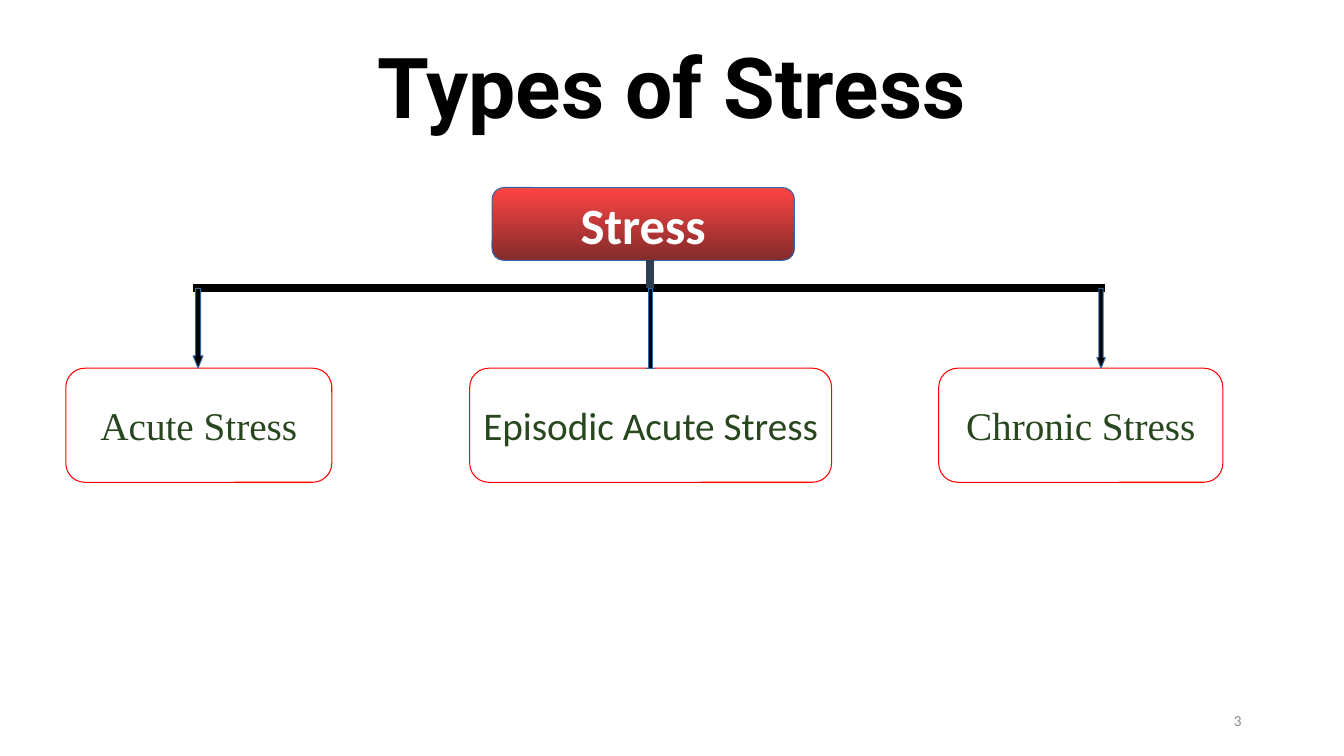
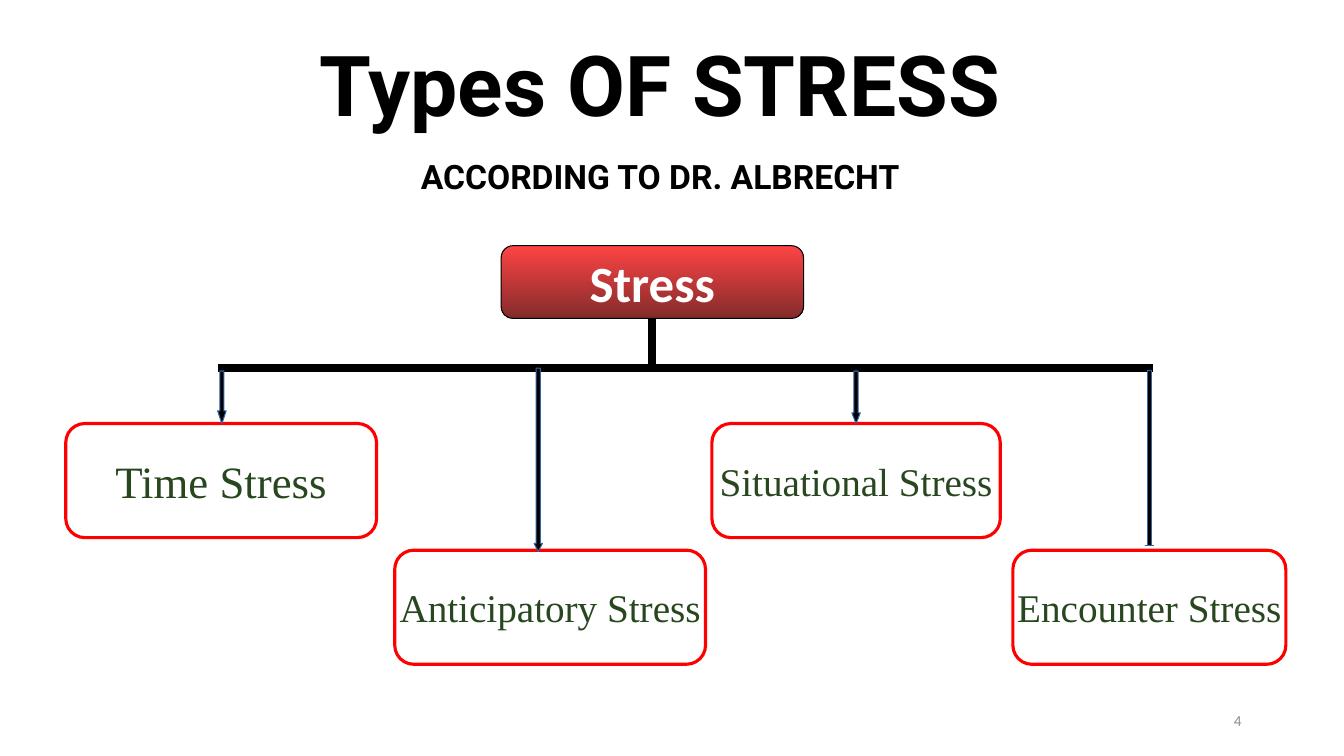
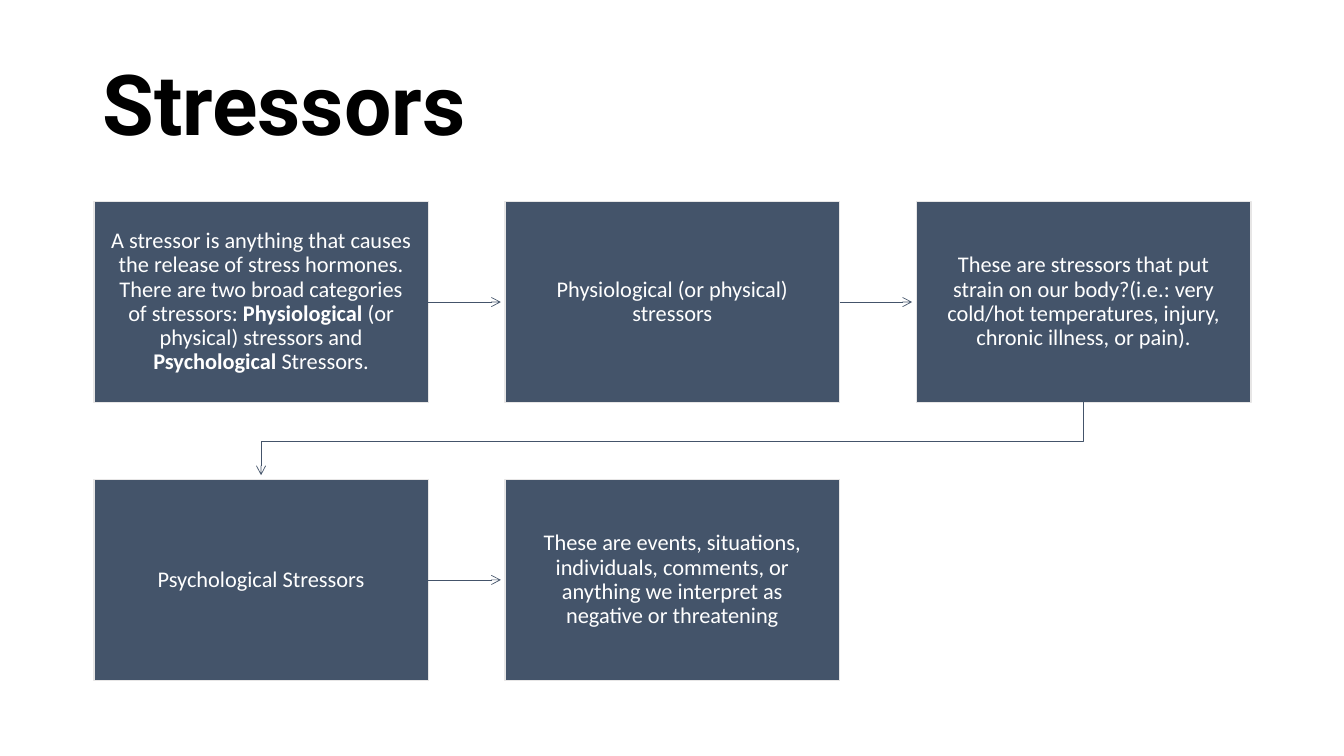
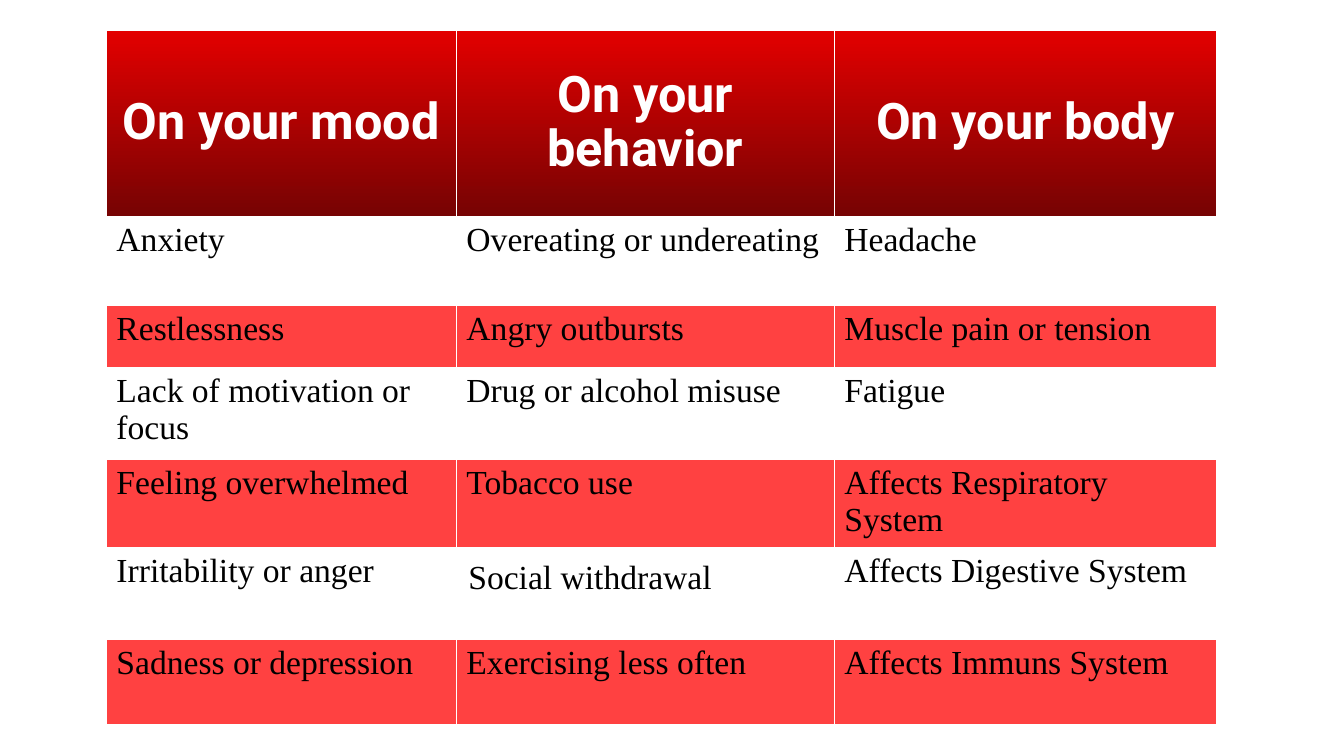
"""Builds four slides on the types, sources and effects of stress."""
from lxml import etree
from pptx import Presentation
from pptx.dml.color import RGBColor
from pptx.enum.shapes import MSO_CONNECTOR, MSO_SHAPE
from pptx.enum.text import MSO_ANCHOR, MSO_AUTO_SIZE, PP_ALIGN
from pptx.oxml.ns import qn
from pptx.util import Pt

LEFT, CENTER, RIGHT = PP_ALIGN.LEFT, PP_ALIGN.CENTER, PP_ALIGN.RIGHT
MIDDLE, TOP = MSO_ANCHOR.MIDDLE, MSO_ANCHOR.TOP
NO_FIT = MSO_AUTO_SIZE.NONE
ROUNDED, RECT, ARROW = MSO_SHAPE.ROUNDED_RECTANGLE, MSO_SHAPE.RECTANGLE, MSO_SHAPE.DOWN_ARROW
STRAIGHT = MSO_CONNECTOR.STRAIGHT
HEAD, BODY, SERIF = "Roboto", "Calibri", "Times New Roman"
HEX = {
    "black": "000000", "white": "FFFFFF", "grey": "8C8C8C", "green": "28471F",
    "red": "FF0000", "root_top": "FE4444", "root_end": "832B2B",
    "blue": "3465A4", "stem": "2C3E50", "slate": "44546A", "pale": "E7E6E6",
    "head_top": "E30000", "head_end": "760303", "band": "FF4141",
}
COLORS = {name: RGBColor.from_string(value) for name, value in HEX.items()}


def write(tf, text, size, font, color, align=CENTER, bold=False, spacing=1.0):
    """Fill a text frame; newlines split paragraphs and asterisks enclose bold words."""
    for i, line in enumerate(text.split("\n")):
        p = tf.paragraphs[0] if i == 0 else tf.add_paragraph()
        p.alignment, p.line_spacing = align, spacing
        p.font.size, p.font.name = Pt(size), font
        p.font.color.rgb, p.font.bold = COLORS[color], bold
        for j, part in enumerate(line.split("*")):
            r = p.add_run()
            r.text = part
            if j % 2:
                r.font.bold = True


def connect(s, x1, y1, x2, y2, color, width):
    """Draw a straight line without a shadow."""
    line = s.shapes.add_connector(STRAIGHT, Pt(x1), Pt(y1), Pt(x2), Pt(y2))
    line.line.color.rgb, line.line.width = COLORS[color], Pt(width)
    etree.SubElement(line._element.spPr, qn("a:effectLst"))
    return line


prs = Presentation()
prs.slide_width, prs.slide_height = Pt(960), Pt(540)
title_only, blank = prs.slide_layouts[5], prs.slide_layouts[6]

titles = [
    ("Types of Stress", (145.5, 21.5, 669, 87), CENTER, (0, 0, 0, 0)),
    ("Types OF STRESS\nACCORDING TO DR. ALBRECHT", (77, 18, 789, 136), CENTER, (0, 0, 0, 0)),
    ("Stressors", (66, 29, 828, 104.5), LEFT, (7.2, 3.6, 7.2, 12)),
]
slides = []
for text, box, align, margins in titles:
    s = prs.slides.add_slide(title_only)
    title = s.shapes.title
    title.left, title.top, title.width, title.height = map(Pt, box)
    tf = title.text_frame
    tf.auto_size, tf.vertical_anchor, tf.word_wrap = NO_FIT, MIDDLE, True
    tf.margin_left, tf.margin_top, tf.margin_right, tf.margin_bottom = map(Pt, margins)
    write(tf, text, 60, HEAD, "black", align, True, 0.9)
    slides.append(s)
subtitle = slides[1].shapes.title.text_frame.paragraphs[1]
subtitle.font.size, subtitle.space_before = Pt(24), Pt(19)

trees = [
    {"number": "3", "root": (351.5, 134), "root_line": "blue", "bar": (138, 789, 206),
     "stem": (464.5, "stem"), "outline": 0.75,
     "boxes": [("Acute Stress", 47, 263, 190, 28, SERIF),
               ("Episodic Acute Stress", 335.5, 263, 258.5, 28, BODY),
               ("Chronic Stress", 670.5, 263, 203, 28, SERIF)],
     "arrows": [(138, 206, 7, 57, 1.26), (461.5, 206, 6, 57.5, 0),
                (783.5, 206, 6, 57, 1.26)]},
    {"number": "4", "root": (358, 175.5), "root_line": "black", "bar": (155.5, 823.5, 263),
     "stem": (466, "black"), "outline": 2.25,
     "boxes": [("Time Stress", 47, 302.5, 222, 32, SERIF),
               ("Anticipatory Stress", 282, 393, 222, 28, SERIF),
               ("Situational Stress", 508.5, 302.5, 206, 28, SERIF),
               ("Encounter Stress", 723.5, 393, 195, 28, SERIF)],
     "arrows": [(155.5, 265, 6, 37.5, 1.5), (381.5, 263, 6, 131, 0.97),
                (608.5, 265, 6, 37.5, 1.26), (818, 265, 6, 124.5, 0)]},
]
for s, tree in zip(slides, trees):
    number = s.shapes.add_textbox(Pt(678), Pt(500), Pt(216), Pt(29))
    number.text_frame.word_wrap = True
    number.text_frame.vertical_anchor = MIDDLE
    write(number.text_frame, tree["number"], 10.9, BODY, "grey", RIGHT)

    left, right, bar_y = tree["bar"]
    connect(s, left, bar_y, right, bar_y, "black", 5.67)

    root_x, root_y = tree["root"]
    nodes = [("Stress", root_x, root_y, 216, 52, 36.3, BODY)]
    nodes += [(text, x, y, w, 81.5, size, font) for text, x, y, w, size, font in tree["boxes"]]
    for i, (text, x, y, w, h, size, font) in enumerate(nodes):
        is_root = i == 0
        sp = s.shapes.add_shape(ROUNDED, Pt(x), Pt(y), Pt(w), Pt(h))
        sp.shadow.inherit = False
        if is_root:
            root = sp
            sp.fill.gradient()
            sp.fill.gradient_angle = 270
            for stop, color in zip(sp.fill.gradient_stops, ("root_top", "root_end")):
                stop.color.rgb = COLORS[color]
        else:
            sp.fill.solid()
            sp.fill.fore_color.rgb = COLORS["white"]
        sp.line.color.rgb = COLORS[tree["root_line"] if is_root else "red"]
        sp.line.width = Pt(0.75 if is_root else tree["outline"])
        tf = sp.text_frame
        tf.word_wrap, tf.vertical_anchor = False, MIDDLE
        tf.margin_left = tf.margin_right = Pt(6.5)
        tf.margin_top = tf.margin_bottom = Pt(3)
        write(tf, text, size, font, "white" if is_root else "green", bold=is_root)

    for x, y, w, h, head in tree["arrows"]:
        sp = s.shapes.add_shape(ARROW, Pt(x), Pt(y), Pt(w), Pt(h))
        sp.shadow.inherit = False
        sp.adjustments[0], sp.adjustments[1] = 0.5, head
        sp.fill.solid()
        sp.fill.fore_color.rgb = COLORS["black"]
        sp.line.color.rgb, sp.line.width = COLORS["blue"], Pt(0.75)

    stem_x, stem_color = tree["stem"]
    stem = connect(s, stem_x, root_y + 52, stem_x, bar_y, stem_color, 5.67)
    if stem_x == root_x + 108:
        stem.begin_connect(root, 2)

s = slides[2]
steps = [
    "A stressor is anything that causes the release of stress hormones. There are two broad "
    "categories of stressors: *Physiological* (or physical) stressors and *Psychological* Stressors.",
    "Physiological (or physical) stressors",
    "These are stressors that put strain on our body?(i.e.: very cold/hot temperatures, injury, "
    "chronic illness, or pain).",
    "Psychological Stressors",
    "These are events, situations, individuals, comments, or anything we interpret as negative "
    "or threatening",
]
grid_x, grid_y, step_x, step_y, box_w, box_h, gap = 67, 144, 293.75, 198.5, 239, 143.5, 3
links = []
for i, text in enumerate(steps):
    row, col = divmod(i, 3)
    x, y = grid_x + col * step_x, grid_y + row * step_y
    sp = s.shapes.add_shape(RECT, Pt(x), Pt(y), Pt(box_w), Pt(box_h))
    sp.shadow.inherit = False
    sp.fill.solid()
    sp.fill.fore_color.rgb = COLORS["slate"]
    sp.line.color.rgb, sp.line.width = COLORS["pale"], Pt(1)
    tf = sp.text_frame
    tf.word_wrap, tf.vertical_anchor = True, MIDDLE
    tf.margin_left = tf.margin_right = Pt(11.5)
    tf.margin_top = tf.margin_bottom = Pt(12)
    write(tf, text, 16, BODY, "white", spacing=0.9)
    if col < 2 and i < len(steps) - 1:
        mid_y = y + box_h / 2
        link = connect(s, x + box_w, mid_y, x + step_x - gap, mid_y, "slate", 0.5)
        link.begin_connect(sp, 3)
        links.append(link)

start_x, end_x = grid_x + 2 * step_x + box_w / 2, grid_x + box_w / 2
start_y, end_y = grid_y + box_h, grid_y + step_y - gap
turn_y = grid_y + (box_h + step_y) / 2
builder = s.shapes.build_freeform(Pt(start_x), Pt(start_y))
builder.add_line_segments(
    [(Pt(start_x), Pt(turn_y)), (Pt(end_x), Pt(turn_y)), (Pt(end_x), Pt(end_y))], close=False)
turn = builder.convert_to_shape()
turn.shadow.inherit = False
turn.fill.background()
turn.line.color.rgb, turn.line.width = COLORS["slate"], Pt(0.5)
for link in links + [turn]:
    etree.SubElement(link._element.spPr.find(qn("a:ln")), qn("a:tailEnd"), type="arrow")

s = prs.slides.add_slide(blank)
rows = [
    ("On your mood", "On your behavior", "On your body"),
    ("Anxiety", "Overeating or undereating", "Headache"),
    ("Restlessness", "Angry outbursts", "Muscle pain or tension"),
    ("Lack of motivation or focus", "Drug or alcohol misuse", "Fatigue"),
    ("Feeling overwhelmed", "Tobacco use", "Affects Respiratory System"),
    ("Irritability or anger", "Social withdrawal", "Affects Digestive System"),
    ("Sadness or depression", "Exercising less often", "Affects Immuns System"),
]
widths, heights = (250, 270, 273), (133.5, 63, 44.5, 65.5, 63.5, 65.5, 61)
table = s.shapes.add_table(
    len(rows), 3, Pt(76), Pt(21.5), Pt(sum(widths)), Pt(sum(heights))).table
for column, width in zip(table.columns, widths):
    column.width = Pt(width)
for i, (texts, height) in enumerate(zip(rows, heights)):
    table.rows[i].height = Pt(height)
    for j, text in enumerate(texts):
        cell = table.cell(i, j)
        for side in ("L", "R", "T", "B"):
            ln = etree.SubElement(cell._tc.get_or_add_tcPr(), qn("a:ln" + side), w=str(Pt(1)))
            fill = etree.SubElement(ln, qn("a:solidFill"))
            etree.SubElement(fill, qn("a:srgbClr"), val=HEX["white"])
        if i == 0:
            cell.fill.gradient()
            cell.fill.gradient_angle = 270
            for stop, color in zip(cell.fill.gradient_stops, ("head_top", "head_end")):
                stop.color.rgb = COLORS[color]
            cell.vertical_anchor = MIDDLE
            write(cell.text_frame, text, 36, HEAD, "white", bold=True, spacing=0.9)
        else:
            cell.fill.solid()
            cell.fill.fore_color.rgb = COLORS["white" if i % 2 else "band"]
            cell.vertical_anchor = TOP
            write(cell.text_frame, text, 24, SERIF, "black", LEFT)
        if text == "Social withdrawal":
            cell.margin_left = cell.margin_right = Pt(8.6)
            cell.margin_top = cell.margin_bottom = Pt(8.6)

prs.save("out.pptx")
